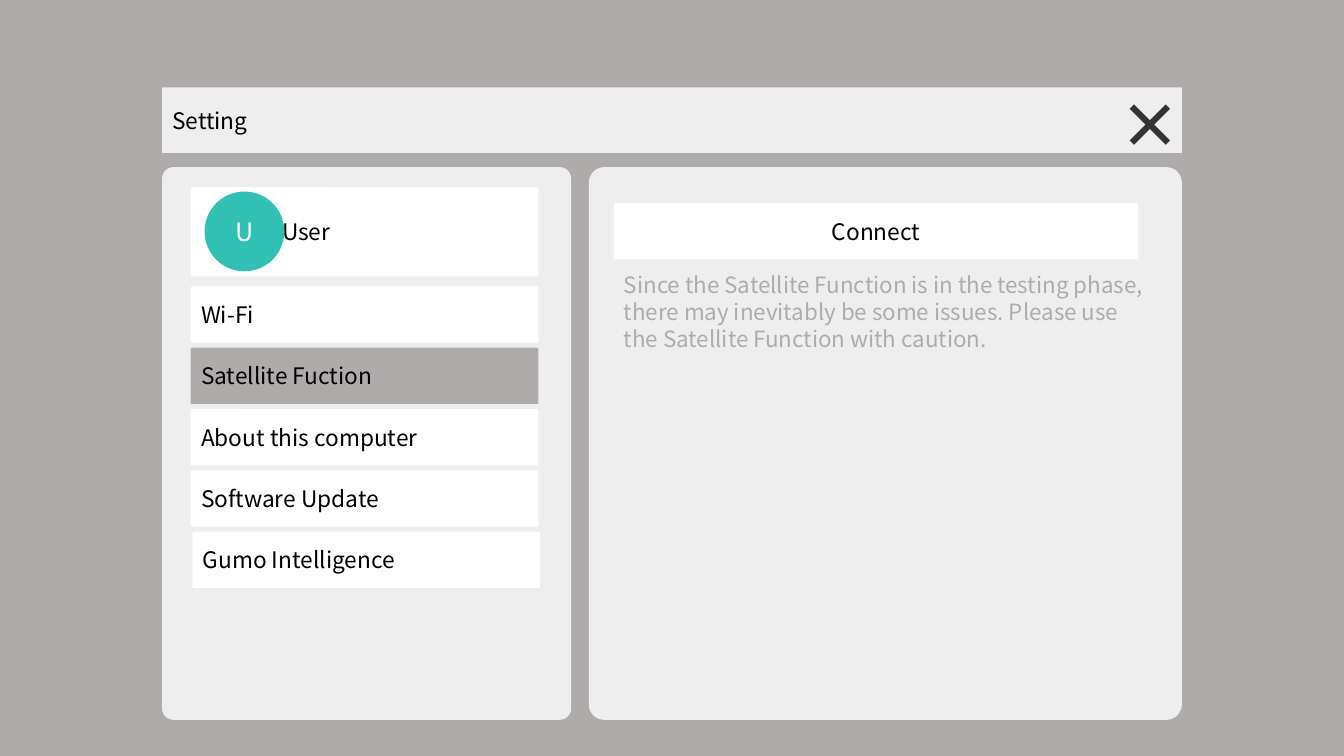
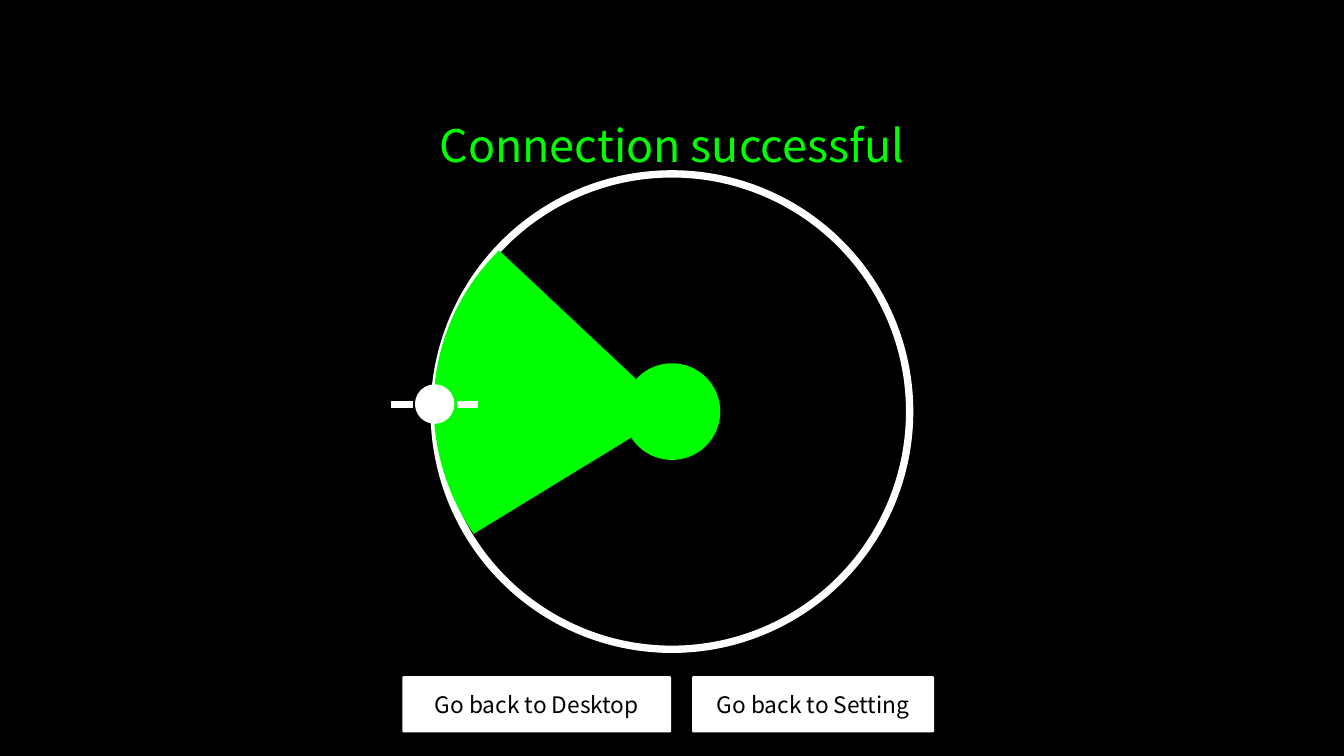
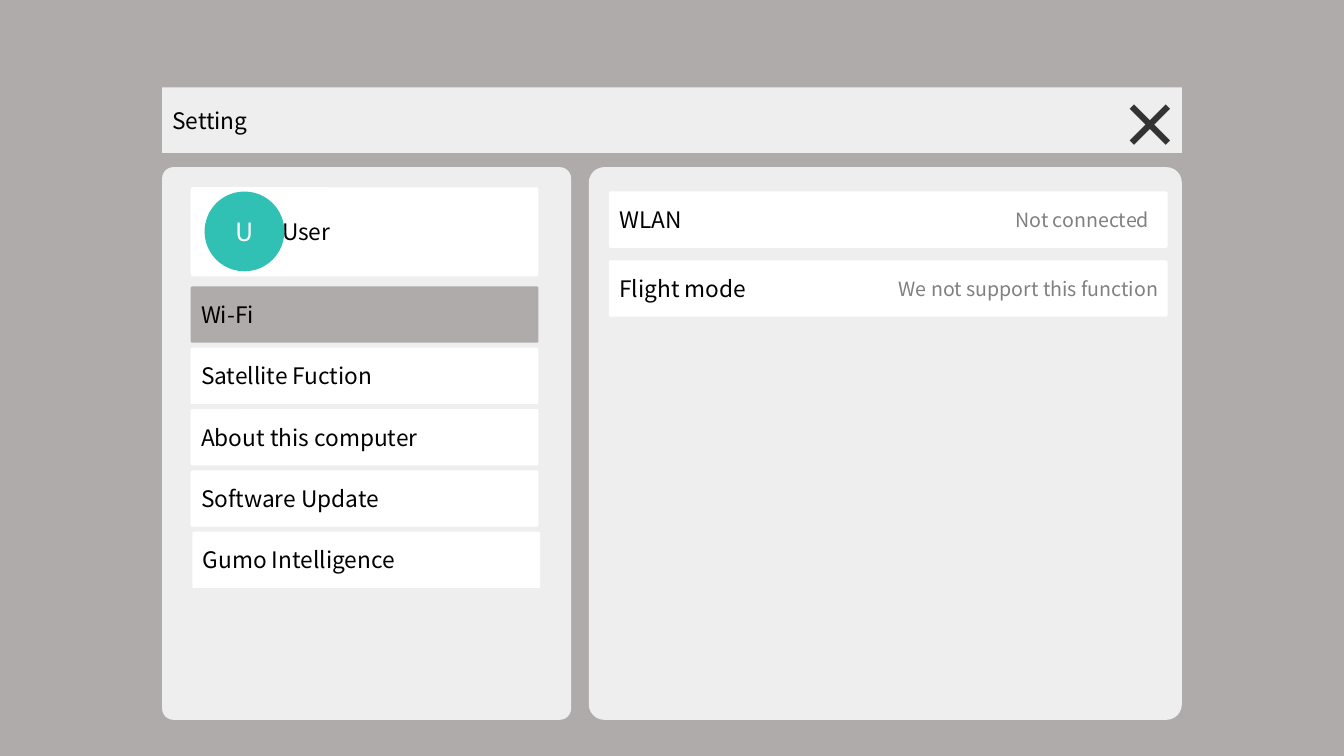
from dataclasses import dataclass
from typing import Any, NamedTuple, Optional

from lxml.etree import SubElement
from pptx import Presentation
from pptx.dml.color import RGBColor
from pptx.enum.shapes import MSO_CONNECTOR, MSO_SHAPE
from pptx.enum.text import MSO_ANCHOR, MSO_AUTO_SIZE, PP_ALIGN
from pptx.oxml.ns import qn
from pptx.util import Emu, Inches, Pt

COLUMNS, ROWS = 160, 90
CELL = Inches(1) // 12
FONT = "Noto Sans CJK SC"
CORNER = 0.028
LINE_HEIGHT = 1.2
PANEL_OPACITY = 80

COLORS = {
    "desktop": "AFABAB",
    "space": "000000",
    "surface": "FFFFFF",
    "text": "000000",
    "close": "333333",
    "status": "808080",
    "avatar": "30C0B4",
    "signal": "00FF00",
}


class Box(NamedTuple):
    column: float
    row: float
    columns: float
    rows: float


@dataclass(frozen=True)
class TextStyle:
    size: float = 16.2
    color: str = "text"
    align: Any = PP_ALIGN.LEFT
    anchor: Any = MSO_ANCHOR.MIDDLE
    bold: bool = False
    wrap: bool = True


@dataclass(frozen=True)
class Setting:
    name: str
    status: str
    status_columns: float
    status_right: float


BODY = TextStyle()
BUTTON = TextStyle(align=PP_ALIGN.CENTER)
AVATAR = TextStyle(18, "surface", PP_ALIGN.CENTER)
CLOSE = TextStyle(44, "close", anchor=MSO_ANCHOR.TOP, bold=True, wrap=False)
NOTE = TextStyle(16, "desktop", anchor=MSO_ANCHOR.TOP)
STATUS = TextStyle(14, "status", PP_ALIGN.RIGHT, wrap=False)
HEADLINE = TextStyle(32, "signal", PP_ALIGN.CENTER, MSO_ANCHOR.TOP, wrap=False)

TITLE_BAR = Box(19.3, 10.4, 121.4, 7.8)
CLOSE_BOX = Box(132.1, 9.7, 6.8, 10.1)
PANELS = (Box(19.3, 19.9, 48.7, 65.8), Box(70.1, 19.9, 70.6, 65.8))
USER_CARD = Box(22.7, 22.3, 41.4, 10.6)
USER_INDENT = 10.8
MENU_TOP, MENU_PITCH, ITEM_ROWS = 34.1, 7.3, 6.7
MENU = (
    "Wi-Fi",
    "Satellite Fuction",
    "About this computer",
    "Software Update",
    "Gumo Intelligence",
)
LAST_ITEM_SHIFT = 0.2
SETTINGS = (
    Setting("WLAN", "Not connected", 18.6, 138),
    Setting("Flight mode", "We not support this function", 34, 139.1),
)
SETTINGS_TOP, SETTINGS_PITCH = 22.8, 8.2
WARNING = (
    "Since the Satellite Function is in the testing phase, there may inevitably "
    "be some issues. Please use the Satellite Function with caution."
)
WING_INNER, WING_OUTER = 2.63, 5.15


def cells(count: float) -> Emu:
    return Emu(round(count * CELL))


def rgb(name: str) -> RGBColor:
    return RGBColor.from_string(COLORS[name])


def centred(column: float, row: float, columns: float, rows: float) -> Box:
    return Box(column - columns / 2, row - rows / 2, columns, rows)


def apply(target: Any, values: dict[str, Any]) -> None:
    for name, value in values.items():
        setattr(target, name, value)


def place(shape: Any, box: Box) -> None:
    names = ("left", "top", "width", "height")
    apply(shape, dict(zip(names, map(cells, box))))


def write(shape: Any, text: str, style: TextStyle, indent: Optional[float] = None) -> None:
    frame = shape.text_frame
    apply(frame, {
        "text": text,
        "word_wrap": style.wrap,
        "auto_size": MSO_AUTO_SIZE.NONE,
        "vertical_anchor": style.anchor,
        "margin_left": Inches(0.1) if indent is None else cells(indent),
    })
    paragraph = frame.paragraphs[0]
    apply(paragraph, {
        "alignment": style.align,
        "line_spacing": Pt(style.size * LINE_HEIGHT),
    })
    font = paragraph.runs[0].font
    apply(font, {"name": FONT, "size": Pt(style.size), "bold": style.bold})
    font.color.rgb = rgb(style.color)


def paint(shape: Any, color: str, opacity: int = 100) -> None:
    shape.fill.solid()
    shape.fill.fore_color.rgb = rgb(color)
    if opacity < 100:
        color_element = shape.element.spPr.find(qn("a:solidFill"))[0]
        SubElement(color_element, qn("a:alpha")).set("val", str(opacity * 1000))


def add_figure(shapes: Any, kind: Any, box: Box, color: Optional[str], opacity: int = 100) -> Any:
    shape = shapes.add_shape(kind, *map(cells, box))
    shape.shadow.inherit = False
    shape.line.fill.background()
    if color is None:
        shape.fill.background()
    else:
        paint(shape, color, opacity)
    return shape


def add_disc(shapes: Any, column: float, row: float, diameter: float, color: Optional[str]) -> Any:
    box = centred(column, row, diameter, diameter)
    return add_figure(shapes, MSO_SHAPE.FLOWCHART_CONNECTOR, box, color)


def add_card(slide: Any, box: Box, color: str = "surface", opacity: int = 100) -> Any:
    card = add_figure(slide.shapes, MSO_SHAPE.ROUNDED_RECTANGLE, box, color, opacity)
    card.adjustments[0] = CORNER
    return card


def add_label(slide: Any, box: Box, text: str, style: TextStyle) -> None:
    write(slide.shapes.add_textbox(*map(cells, box)), text, style)


def add_wing(shapes: Any, start: float, end: float, row: float) -> None:
    wing = shapes.add_connector(
        MSO_CONNECTOR.STRAIGHT, cells(start), cells(row), cells(end), cells(row)
    )
    wing.line.width = Pt(5)
    wing.line.color.rgb = rgb("surface")
    SubElement(wing.element.spPr, qn("a:effectLst"))


def add_slide(presentation: Any, background: str, title: str, box: Box, style: TextStyle) -> Any:
    slide = presentation.slides.add_slide(presentation.slide_layouts.get_by_name("Title Only"))
    slide.background.fill.solid()
    slide.background.fill.fore_color.rgb = rgb(background)
    place(slide.shapes.title, box)
    write(slide.shapes.title, title, style)
    return slide


def add_settings_slide(presentation: Any, selected: str) -> Any:
    slide = add_slide(presentation, "desktop", "Setting", TITLE_BAR, BODY)
    paint(slide.shapes.title, "surface", PANEL_OPACITY)
    for panel in PANELS:
        add_card(slide, panel, opacity=PANEL_OPACITY)
    add_label(slide, CLOSE_BOX, "×", CLOSE)
    write(add_card(slide, USER_CARD), "User", BODY, USER_INDENT)
    write(add_disc(slide.shapes, 29.1, 27.55, 9.5, "avatar"), "U", AVATAR)
    for index, name in enumerate(MENU):
        shift = LAST_ITEM_SHIFT if name == MENU[-1] else 0
        box = Box(
            USER_CARD.column + shift,
            MENU_TOP + index * MENU_PITCH,
            USER_CARD.columns,
            ITEM_ROWS,
        )
        color = "desktop" if name == selected else "surface"
        write(add_card(slide, box, color), name, BODY)
    return slide


def build_satellite(presentation: Any) -> None:
    slide = add_settings_slide(presentation, "Satellite Fuction")
    write(add_card(slide, Box(73.1, 24.2, 62.4, ITEM_ROWS)), "Connect", BUTTON)
    add_label(slide, Box(73.1, 31.7, 64.2, 10.9), WARNING, NOTE)


def build_connection(presentation: Any) -> None:
    slide = add_slide(
        presentation, "space", "Connection successful", Box(50.5, 13.4, 59, 7.7), HEADLINE
    )
    middle, row = COLUMNS / 2, 49
    orbit = add_disc(slide.shapes, middle, row, 56.6, None)
    orbit.line.width = Pt(5.25)
    orbit.line.color.rgb = rgb("surface")
    add_disc(slide.shapes, middle, row, 11.5, "signal")

    beam = add_figure(slide.shapes, MSO_SHAPE.PIE, centred(middle, 49.14, 54.2, 57), "signal")
    beam.rotation = 288.1
    for index, angle in enumerate((220.49, 295.11)):
        beam.adjustments[index] = angle * 0.6

    satellite = slide.shapes.add_group_shape()
    column, row = 51.75, 48.1
    add_disc(satellite.shapes, column, row, 4.7, "surface")
    for side in (-1, 1):
        add_wing(satellite.shapes, column + side * WING_INNER, column + side * WING_OUTER, row)

    for text, left, width in (("Go back to Desktop", 47.9, 32), ("Go back to Setting", 82.4, 28.8)):
        write(add_card(slide, Box(left, 80.5, width, ITEM_ROWS)), text, BUTTON)


def build_wifi(presentation: Any) -> None:
    slide = add_settings_slide(presentation, "Wi-Fi")
    for index, setting in enumerate(SETTINGS):
        box = Box(72.5, SETTINGS_TOP + index * SETTINGS_PITCH, 66.5, ITEM_ROWS)
        write(add_card(slide, box), setting.name, BODY)
        status_box = Box(
            setting.status_right - setting.status_columns,
            box.row,
            setting.status_columns,
            ITEM_ROWS,
        )
        add_label(slide, status_box, setting.status, STATUS)


def main() -> None:
    presentation = Presentation()
    apply(presentation, {"slide_width": cells(COLUMNS), "slide_height": cells(ROWS)})
    build_satellite(presentation)
    build_connection(presentation)
    build_wifi(presentation)
    presentation.save("out.pptx")


if __name__ == "__main__":
    main()
